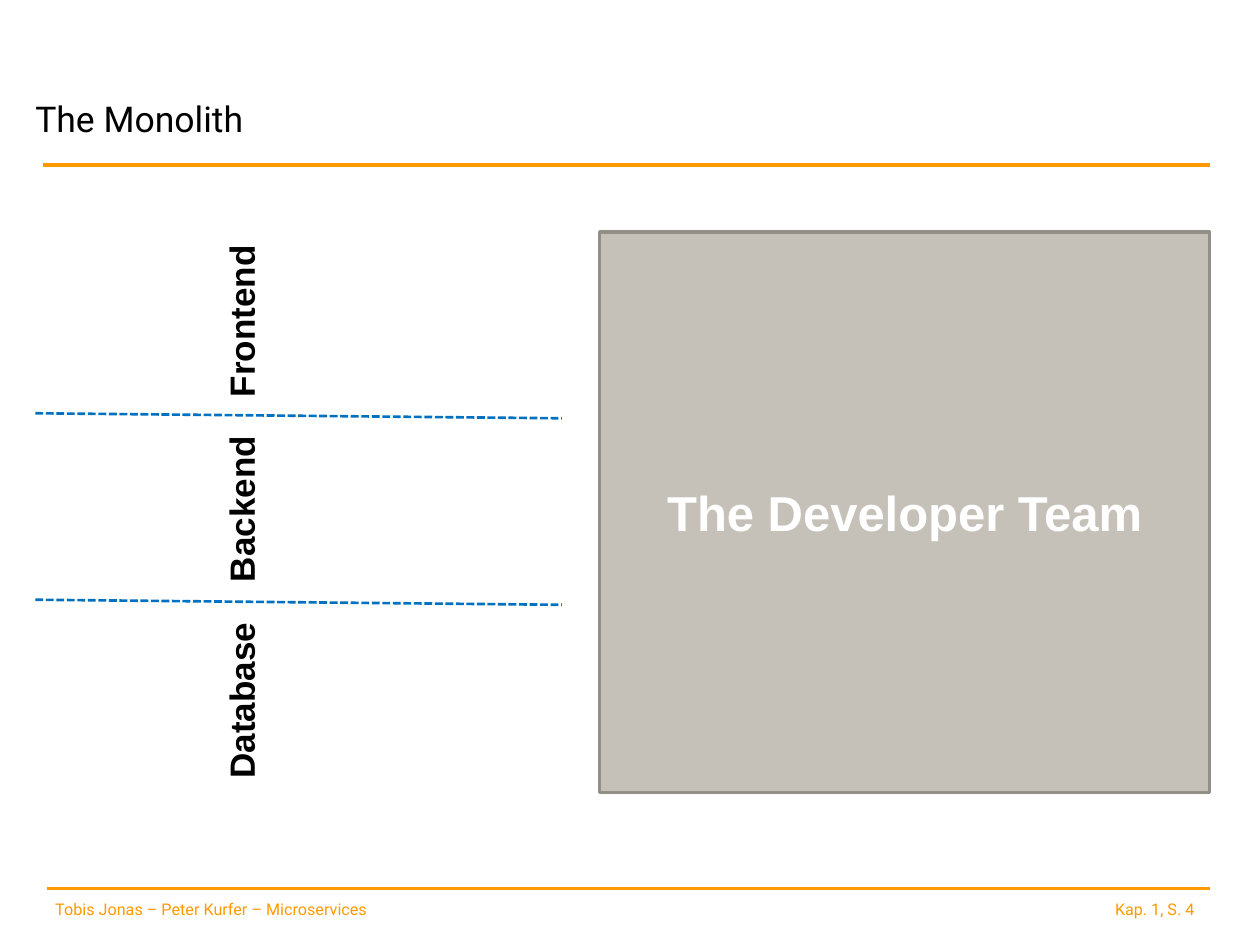
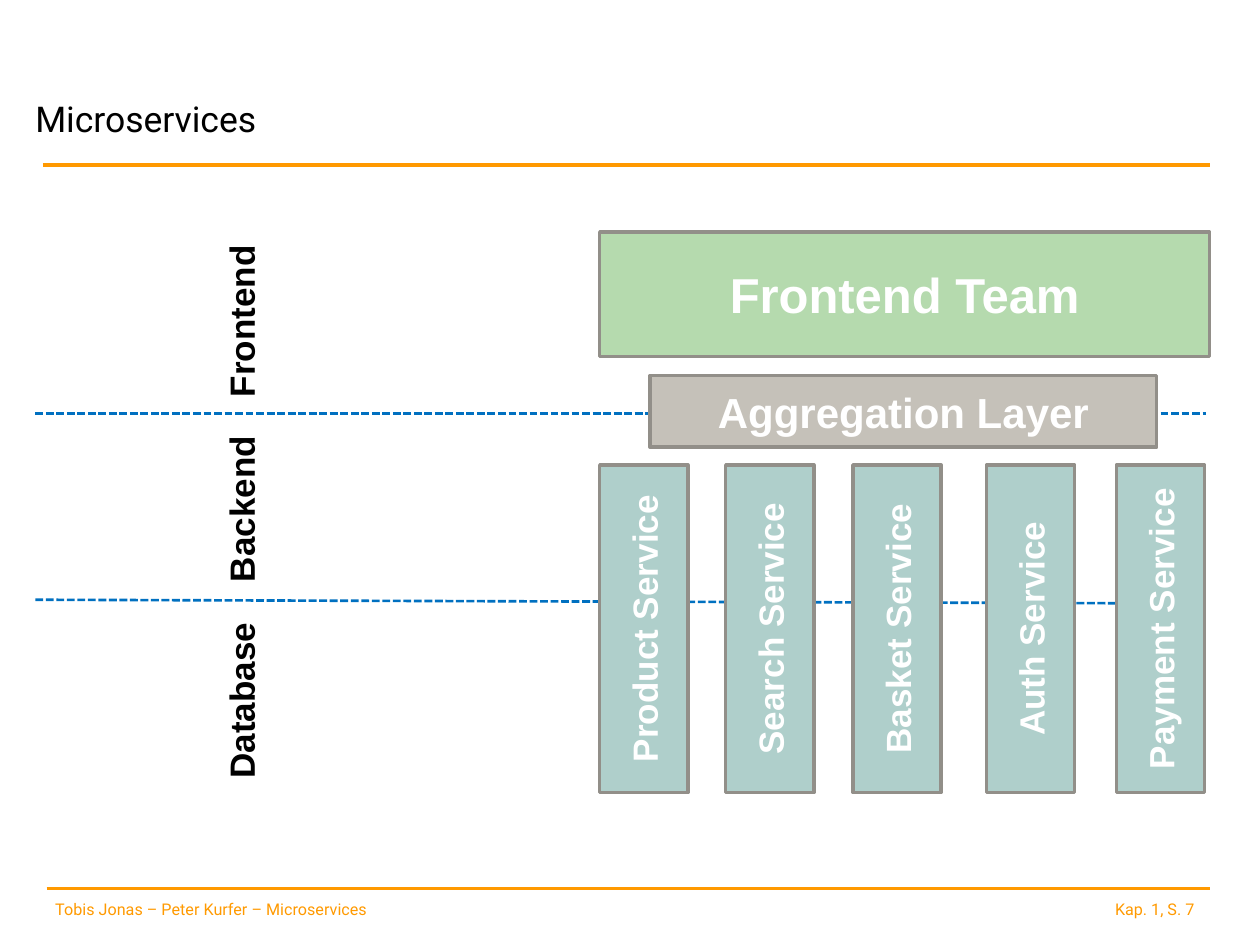
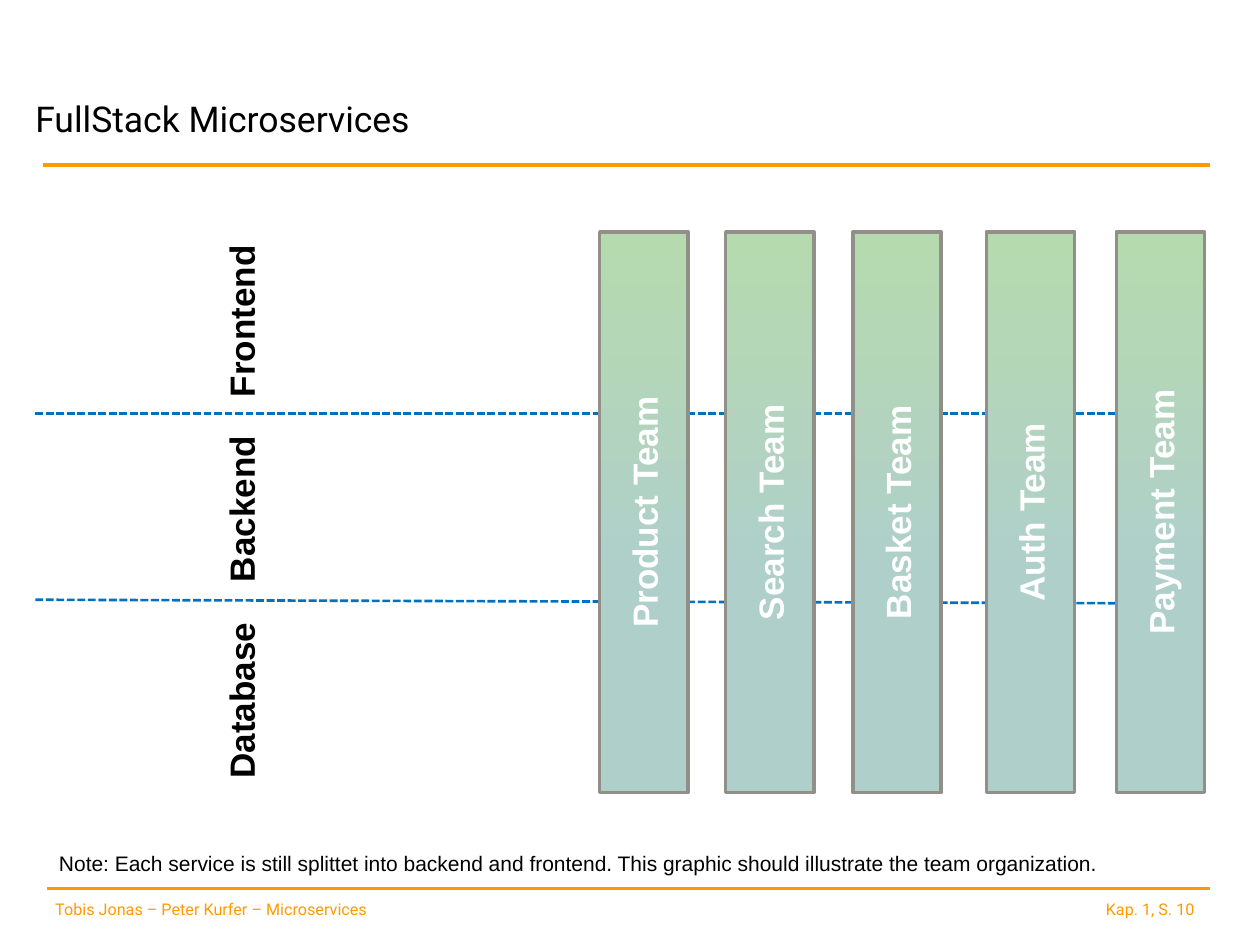
from lxml import etree
from pptx import Presentation
from pptx.dml.color import RGBColor
from pptx.enum.dml import MSO_LINE
from pptx.enum.shapes import MSO_CONNECTOR, MSO_SHAPE
from pptx.enum.text import MSO_ANCHOR, PP_ALIGN
from pptx.oxml.ns import qn
from pptx.util import Inches, Pt

STRAIGHT, RECTANGLE = MSO_CONNECTOR.STRAIGHT, MSO_SHAPE.RECTANGLE
SHORT_DASH = MSO_LINE.SQUARE_DOT
TOP, MIDDLE, BOTTOM = MSO_ANCHOR.TOP, MSO_ANCHOR.MIDDLE, MSO_ANCHOR.BOTTOM
LEFT, CENTER, RIGHT = PP_ALIGN.LEFT, PP_ALIGN.CENTER, PP_ALIGN.RIGHT

COLUMNS, ROWS = 100, 75
BLACK, WHITE = "000000", "FFFFFF"
ACCENT, FOOTER_TEXT = "FF9900", "FF9A00"
DIVIDER, OUTLINE = "0070C0", "928F89"
STONE, GREEN, TEAL = "C5C1B9", "B5DAAE", "AFCFCB"
BODY_FONT, TITLE_FONT = "Arial", "Roboto"
DEFAULT_INSETS = (0.1, 0.05, 0.1, 0.05)

FOOTER = "Tobis Jonas – Peter Kurfer – Microservices"
AUTHOR_NOTE = ("Note: Each service is still splittet into backend and frontend. "
               "This graphic should illustrate the team organization.")

# Diagram area, in columns and rows
DIAGRAM_LEFT, DIAGRAM_TOP = 47.6, 18.4
DIAGRAM_WIDTH, DIAGRAM_HEIGHT = 48.4, 44.5
SERVICE_TOP, SERVICE_WIDTH = 36.9, 7
DIAGRAM_BOTTOM = DIAGRAM_TOP + DIAGRAM_HEIGHT
LAYER_CENTERS = {"Frontend": 25.5, "Backend": 40.4, "Database": 55.6}
SERVICE_LEFTS = {"Product": 47.6, "Search": 57.6, "Basket": 67.7,
                 "Auth": 78.3, "Payment": 88.6}


def color(hex_string):
    return RGBColor.from_string(hex_string)


class Deck:
    """Holds the presentation, its grid and the slide being filled."""

    def __init__(self):
        self.presentation = Presentation()
        self.presentation.slide_width = Inches(10)
        self.presentation.slide_height = Inches(7.5)
        self.column = self.presentation.slide_width / COLUMNS
        self.row = self.presentation.slide_height / ROWS
        self.slide = None

    def place(self, left, top, width, height):
        """Turn columns and rows into lengths."""
        return (round(left * self.column), round(top * self.row),
                round(width * self.column), round(height * self.row))

    def set_text(self, shape, text, size, hex_color, font=BODY_FONT, bold=False,
                 align=LEFT, anchor=TOP, insets=DEFAULT_INSETS, wrap=True):
        frame = shape.text_frame
        frame.text = text
        frame.word_wrap = wrap
        frame.vertical_anchor = anchor
        (frame.margin_left, frame.margin_top,
         frame.margin_right, frame.margin_bottom) = map(Inches, insets)
        paragraph = frame.paragraphs[0]
        paragraph.alignment = align
        style = paragraph.runs[0].font
        style.name, style.size, style.bold = font, Pt(size), bold
        style.color.rgb = color(hex_color)

    def text(self, area, text, size, hex_color=BLACK, **style):
        box = self.slide.shapes.add_textbox(*self.place(*area))
        self.set_text(box, text, size, hex_color, **style)
        return box

    def line(self, start, end, hex_color, width, dash=None):
        ends = self.place(*start, *end)
        rule = self.slide.shapes.add_connector(STRAIGHT, *ends)
        rule.line.color.rgb = color(hex_color)
        rule.line.width = Pt(width)
        if dash:
            rule.line.dash_style = dash
        etree.SubElement(rule._element.spPr, qn("a:effectLst"))

    def block(self, area, text, size, fills, upright=False):
        """Outlined rectangle; two fills make a gradient from the top down."""
        block = self.slide.shapes.add_shape(RECTANGLE, *self.place(*area))
        block.shadow.inherit = False
        if len(fills) == 1:
            block.fill.solid()
            block.fill.fore_color.rgb = color(fills[0])
        else:
            block.fill.gradient()
            block.fill.gradient_angle = 270
            for stop, fill, position in zip(block.fill.gradient_stops, fills, (0, 0.63)):
                stop.color.rgb = color(fill)
                stop.position = position
        block.line.color.rgb = color(OUTLINE)
        block.line.width = Pt(2)
        self.set_text(block, text, size, WHITE, bold=True, align=CENTER, anchor=MIDDLE)
        if upright:
            block.text_frame._txBody.bodyPr.set("vert", "vert270")

    def start_slide(self, title, page):
        blank = self.presentation.slide_layouts[6]
        self.slide = self.presentation.slides.add_slide(blank)
        footer_style = {"hex_color": FOOTER_TEXT, "font": TITLE_FONT}
        self.text((84.3, 70.9, 11.8, 2.6), f"Kap. 1, S. {page}", 9.2, align=RIGHT,
                  insets=(0.1, 0.05, 0.13, 0.05), **footer_style)
        self.text((3.4, 70.9, 40.7, 2.6), FOOTER, 9.2,
                  insets=(0.1, 0.05, 0, 0.05), **footer_style)
        self.line((3.7, 70.5), (96, 70.5), ACCENT, 2)
        self.line((3.4, 13.1), (96, 13.1), ACCENT, 2)
        self.text((2.8, 2.7, 62.9, 8.4), title, 20.3, font=TITLE_FONT,
                  anchor=BOTTOM, insets=(0, 0, 0, 0))

    def layers(self, right, first_end, second_end):
        """Dashed dividers, ending at the given rows, and the layer names."""
        for start, end in ((32.8, first_end), (47.6, second_end)):
            self.line((2.8, start), (right, end), DIVIDER, 1.5, SHORT_DASH)
        for layer, center in LAYER_CENTERS.items():
            label = self.text((11.9, center - 2.2, 14.5, 4.4), layer, 20,
                              bold=True, align=CENTER, wrap=False)
            label.rotation = 270

    def services(self, suffix, top, fills):
        for service, left in SERVICE_LEFTS.items():
            area = (left, top, SERVICE_WIDTH, DIAGRAM_BOTTOM - top)
            self.block(area, f"{service} {suffix}", 20, fills, upright=True)


def main():
    deck = Deck()

    deck.start_slide("The Monolith", 4)
    deck.block((DIAGRAM_LEFT, DIAGRAM_TOP, DIAGRAM_WIDTH, DIAGRAM_HEIGHT),
               "The Developer Team", 28, [STONE])
    deck.layers(44.6, 33.2, 48)

    deck.start_slide("Microservices", 7)
    deck.layers(95.7, 32.8, 47.9)
    deck.block((DIAGRAM_LEFT, DIAGRAM_TOP, DIAGRAM_WIDTH, 9.9),
               "Frontend Team", 28, [GREEN])
    deck.block((51.6, 29.8, 40.2, 5.7), "Aggregation Layer", 24, [STONE])
    deck.services("Service", SERVICE_TOP, [TEAL])

    deck.start_slide("FullStack Microservices", 10)
    deck.layers(95.7, 32.8, 47.9)
    deck.services("Team", DIAGRAM_TOP, [GREEN, TEAL])
    deck.text((3.7, 67, 85.6, 3), AUTHOR_NOTE, 12, wrap=False)

    deck.presentation.save("out.pptx")


if __name__ == "__main__":
    main()
